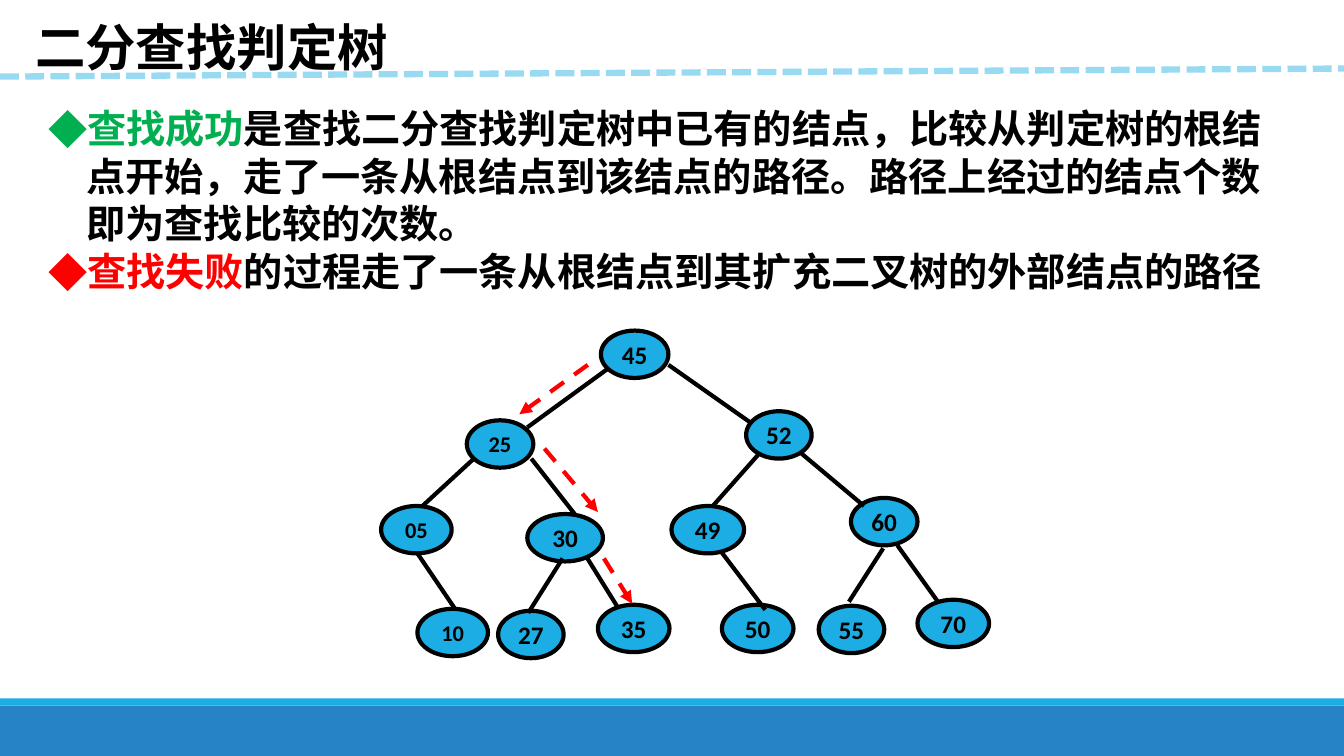
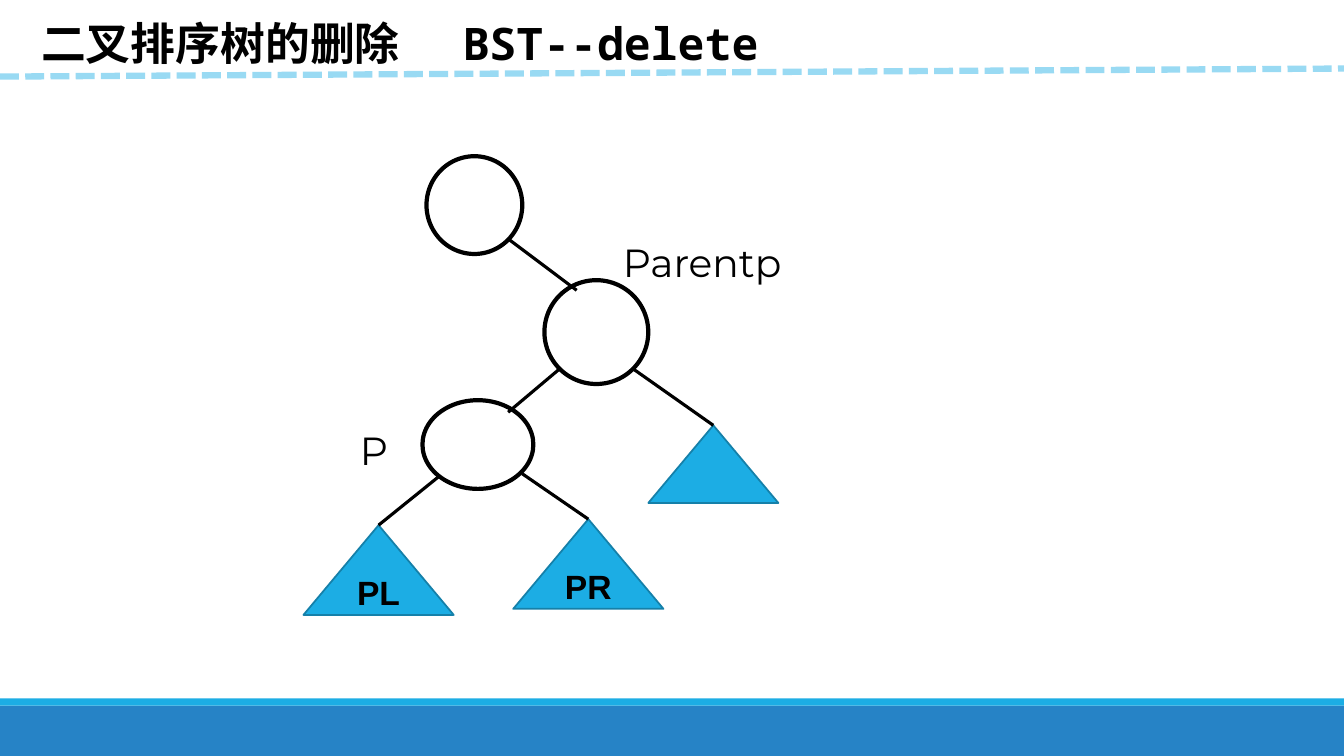
import pptx
import pptx.util
import pptx.dml.color
import pptx.enum.dml
import pptx.enum.shapes
import pptx.enum.text
import pptx.oxml.ns
from lxml import etree

Inches, Pt = pptx.util.Inches, pptx.util.Pt
qn = pptx.oxml.ns.qn
SHAPES = pptx.enum.shapes.MSO_SHAPE
DASHES = pptx.enum.dml.MSO_LINE

COLORS = {
    "black": "000000",
    "blue": "1CADE4",
    "footer": "2683C6",
    "rule": "99DAF3",
    "outline": "1580A9",
    "green": "00B050",
    "red": "FF0000",
}
CJK, MONO = "Noto Sans CJK SC", "Noto Sans Mono"
WIDTH, HEIGHT = 13.33, 7.5


def rgb(name):
    return pptx.dml.color.RGBColor.from_string(COLORS[name])


class Lecture:
    """Holds the deck, its style and the page being drawn."""

    def __init__(self):
        self.deck = pptx.Presentation()
        self.deck.slide_width = Inches(WIDTH)
        self.deck.slide_height = Inches(HEIGHT)
        self.page = None

    def new_page(self, title, left, size):
        self.page = self.deck.slides.add_slide(self.deck.slide_layouts[6])
        # Footer bands
        self.shape(SHAPES.RECTANGLE, 0, 7, WIDTH, 0.5, "footer")
        self.shape(SHAPES.RECTANGLE, 0, 6.93, WIDTH, 0.07, "blue")
        # Title above its dashed rule
        frame = self.text_box(left, 0.1, 8.35, 0.7)
        self.fill_para(frame.paragraphs[0], title, size, tab=4.18)
        self.line((0, 0.76), (WIDTH, 0.68), "rule", 4.5, DASHES.SQUARE_DOT)

    def shape(self, kind, left, top, width, height, fill=None, line=None, weight=3):
        shape = self.page.shapes.add_shape(
            kind, Inches(left), Inches(top), Inches(width), Inches(height))
        shape.shadow.inherit = False
        if fill:
            shape.fill.solid()
            shape.fill.fore_color.rgb = rgb(fill)
        else:
            shape.fill.background()
        if line:
            shape.line.color.rgb = rgb(line)
            shape.line.width = Pt(weight)
        else:
            shape.line.fill.background()
        return shape

    def shape_text(self, shape, text, size, font):
        frame = shape.text_frame
        frame.margin_left = frame.margin_right = 0
        frame.vertical_anchor = pptx.enum.text.MSO_ANCHOR.MIDDLE
        para = frame.paragraphs[0]
        para.alignment = pptx.enum.text.PP_ALIGN.CENTER
        self.fill_para(para, [(text, None, None)], size, font)

    def node(self, text, left, top, width, size=18):
        shape = self.shape(SHAPES.OVAL, left, top, width, 0.47, "blue", "black")
        self.shape_text(shape, text, size, "Calibri")

    def subtree(self, left, top, width, height, text=""):
        shape = self.shape(SHAPES.ISOSCELES_TRIANGLE, left, top, width, height,
                           "blue", "outline", 1.25)
        if text:
            self.shape_text(shape, text, 24, "Arial")
        return shape

    def line(self, start, end, color="black", weight=3.0, dash=None, arrow=False):
        line = self.page.shapes.add_connector(
            pptx.enum.shapes.MSO_CONNECTOR.STRAIGHT,
            *[Inches(value) for value in (*start, *end)])
        line.line.color.rgb = rgb(color)
        line.line.width = Pt(weight)
        if dash:
            line.line.dash_style = dash
        if arrow:
            etree.SubElement(line.line._get_or_add_ln(), qn("a:tailEnd"), type="triangle")
        etree.SubElement(line._element.spPr, qn("a:effectLst"))
        return line

    def text_box(self, left, top, width, height):
        box = self.page.shapes.add_textbox(
            Inches(left), Inches(top), Inches(width), Inches(height))
        box.text_frame.word_wrap = True
        return box.text_frame

    def label(self, text, left, top, width):
        frame = self.text_box(left, top, width, 0.57)
        self.fill_para(frame.paragraphs[0], [(text, None, None)], 28, "Montserrat", bold=False)

    def fill_para(self, para, spans, size, font=CJK, bold=True, bullet=None, tab=None):
        """Each span is (text, colour or None, font or None)."""
        if font == CJK:
            para.line_spacing = Pt(round(size * 1.215))
        props = para._p.get_or_add_pPr()
        if bullet:
            props.set("marL", str(Inches(0.38)))
            props.set("indent", str(-Inches(0.38)))
            color = etree.SubElement(props, qn("a:buClr"))
            etree.SubElement(color, qn("a:srgbClr"), val=COLORS[bullet])
            etree.SubElement(props, qn("a:buFont"), typeface=CJK)
            etree.SubElement(props, qn("a:buChar"), char="◆")
        if tab:
            stops = etree.SubElement(props, qn("a:tabLst"))
            etree.SubElement(stops, qn("a:tab"), pos=str(Inches(tab)), algn="l")
        para.font.size = Pt(size)
        para.font.bold = bold
        para.font.name = font
        para.font.color.rgb = rgb("black")
        etree.SubElement(para.font._element, qn("a:ea"), typeface=font)
        for text, color, span_font in spans:
            span = para.add_run()
            span.text = text
            if color:
                span.font.color.rgb = rgb(color)
            if span_font:
                span.font.name = span_font

    def bullets(self, left, top, width, height, items):
        frame = self.text_box(left, top, width, height)
        for index, (key, color, rest) in enumerate(items):
            para = frame.add_paragraph() if index else frame.paragraphs[0]
            self.fill_para(para, [(key, color, None), (rest, None, None)], 28, bullet=color)


def decision_tree(lecture):
    lecture.new_page([("二分查找判定树", None, None)], 0.25, 36)

    # Nodes: text, left, top, width and, where smaller, text size
    for node in [
        ("45", 5.96, 3.28, 0.67),
        ("25", 4.63, 4.17, 0.66, 16), ("52", 7.4, 4.08, 0.65),
        ("05", 3.78, 5.02, 0.7, 16), ("30", 5.23, 5.1, 0.75),
        ("49", 6.66, 5.02, 0.72), ("60", 8.44, 4.94, 0.66),
        ("10", 4.14, 6.04, 0.7, 16), ("27", 4.94, 6.06, 0.65),
        ("35", 5.93, 6, 0.71), ("50", 7.16, 6, 0.71),
        ("55", 8.12, 6.01, 0.65), ("70", 9.1, 5.95, 0.71),
    ]:
        lecture.node(*node)

    # Edges, level by level
    for start, end in [
        ((6.04, 3.65), (5.23, 4.24)), ((6.63, 3.62), (7.44, 4.19)),
        ((4.7, 4.55), (4.19, 5.02)), ((5.27, 4.55), (5.7, 5.1)),
        ((7.53, 4.5), (7.07, 5.02)), ((7.95, 4.5), (8.57, 5.02)),
        ((4.14, 5.49), (4.52, 6.05)), ((5.58, 5.54), (5.24, 6.08)),
        ((5.82, 5.53), (6.13, 6.03)), ((7.15, 5.47), (7.59, 6.05)),
        ((8.76, 5.44), (8.42, 5.97)), ((8.9, 5.41), (9.31, 5.98)),
    ]:
        lecture.line(start, end)

    lecture.bullets(0.38, 0.98, 12.57, 1.99, [
        ("查找成功", "green",
         "是查找二分查找判定树中已有的结点，比较从判定树的根结点开始，走了一条从根结点到该结点的路径。"
         "路径上经过的结点个数即为查找比较的次数。"),
        ("查找失败", "red", "的过程走了一条从根结点到其扩充二叉树的外部结点的路径"),
    ])

    # Search route
    for start, end in [
        ((5.83, 3.62), (5.15, 4.11)),
        ((5.4, 4.45), (5.93, 5.08)),
        ((5.99, 5.54), (6.27, 5.99)),
    ]:
        lecture.line(start, end, "red", 3, DASHES.DASH, arrow=True)


def bst_delete(lecture):
    lecture.new_page([("二叉排序树的删除\t", None, None), ("BST--delete", None, MONO)], 0.31, 32)

    # Ancestor, parent and deleted node
    for place in [(4.23, 1.55, 0.95, 0.97), (5.4, 2.78, 1.03, 1.03), (4.19, 3.97, 1.1, 0.88)]:
        lecture.shape(SHAPES.OVAL, *place, line="black")
    lecture.label("Parentp", 6.08, 2.32, 2.04)
    lecture.label("P", 3.47, 4.18, 0.57)
    for start, end in [((5.04, 2.37), (5.72, 2.88)), ((5.55, 3.66), (5.04, 4.09))]:
        lecture.line(start, end, weight=2.25)

    # Subtrees, each joined at its apex
    for start, left, top, width, height, text in [
        ((4.35, 4.73), 3.01, 5.21, 1.49, 0.89, "PL"),
        ((5.18, 4.7), 5.09, 5.15, 1.49, 0.89, "PR"),
        ((6.28, 3.66), 6.43, 4.22, 1.29, 0.77, ""),
    ]:
        triangle = lecture.subtree(left, top, width, height, text)
        edge = lecture.line(start, (left + width / 2, top), weight=2.25)
        edge.end_connect(triangle, 0)


def main():
    lecture = Lecture()
    decision_tree(lecture)
    bst_delete(lecture)
    lecture.deck.save("out.pptx")


if __name__ == "__main__":
    main()
